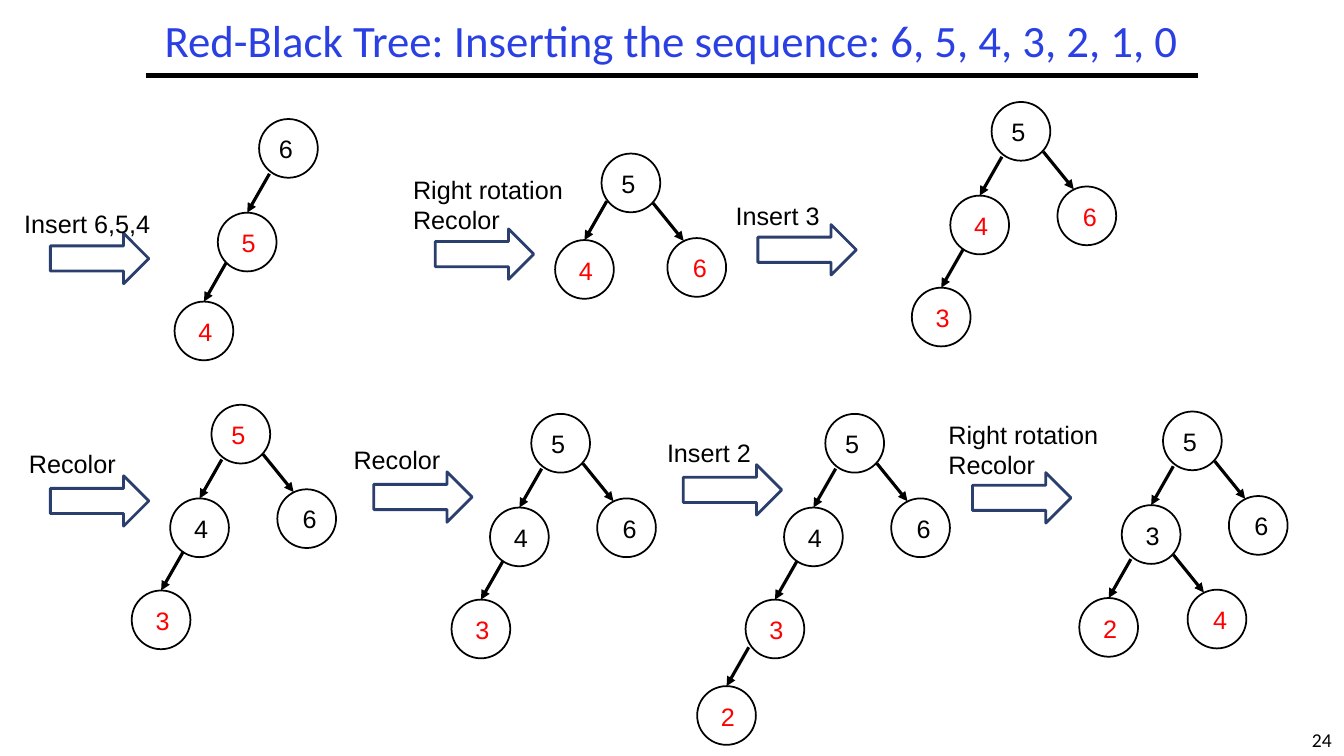
from dataclasses import dataclass
from typing import Optional

from lxml.etree import SubElement
from pptx import Presentation
from pptx.dml.color import RGBColor
from pptx.enum.shapes import MSO_CONNECTOR, MSO_SHAPE
from pptx.enum.text import MSO_ANCHOR, PP_ALIGN
from pptx.oxml.ns import qn
from pptx.util import Cm, Pt

COLORS = {
    "title": "2A40E2",
    "black": "000000",
    "red": "FF0000",
    "white": "FFFFFF",
    "arrow": "2B3F6F",
}
DIAMETER = 1.48
RIGHT_CHILD = (1.66, 2.13)
STEEP = (-1.04, 2.36)
LOWER = (-0.97, 2.32)
LABEL_OFFSETS = {"root": (0.25, 0.24), "left": (0.35, 0.25), "right": (0.39, 0.24)}


@dataclass
class Node:
    value: str
    color: str = "black"
    left: Optional["Node"] = None
    right: Optional["Node"] = None
    left_offset: tuple = STEEP


def rgb(name):
    return RGBColor.from_string(COLORS[name])


def add_text(slide, lines, x, y, width, height, size=18, font="Arial", color="black",
             align=PP_ALIGN.LEFT, wrap=True, anchor=MSO_ANCHOR.TOP, spacing=None):
    box = slide.shapes.add_textbox(Cm(x), Cm(y), Cm(width), Cm(height))
    frame = box.text_frame
    frame.word_wrap = wrap
    frame.vertical_anchor = anchor
    frame.text = "\n".join(lines)
    for paragraph in frame.paragraphs:
        paragraph.alignment = align
        paragraph.line_spacing = spacing
        paragraph.font.size = Pt(size)
        paragraph.font.name = font
        paragraph.font.color.rgb = rgb(color)


def add_outlined(slide, preset, x, y, width, height, color, weight):
    shape = slide.shapes.add_shape(preset, Cm(x), Cm(y), Cm(width), Cm(height))
    shape.shadow.inherit = False
    shape.fill.solid()
    shape.fill.fore_color.rgb = rgb("white")
    shape.line.color.rgb = rgb(color)
    shape.line.width = Pt(weight)
    return shape


def add_line(slide, start, end, weight, arrowhead=False):
    line = slide.shapes.add_connector(
        MSO_CONNECTOR.STRAIGHT, *(Cm(value) for value in (*start, *end)))
    line.line.color.rgb = rgb("black")
    line.line.width = Pt(weight)
    if arrowhead:
        SubElement(line.line._get_or_add_ln(), qn("a:tailEnd"), type="triangle")
    SubElement(line._element.spPr, qn("a:effectLst"))
    return line


def add_tree(slide, node, x, y, side="root"):
    circle = add_outlined(slide, MSO_SHAPE.OVAL, x, y, DIAMETER, DIAMETER, "black", 1.25)
    label_x, label_y = LABEL_OFFSETS[side]
    add_text(slide, [node.value], x + label_x, y + label_y, 0.86, 1.02,
             color=node.color, wrap=False)
    if node.left:
        child_x, child_y = x + node.left_offset[0], y + node.left_offset[1]
        child = add_tree(slide, node.left, child_x, child_y, "left")
        top = (child_x + DIAMETER / 2, child_y)
        edge = add_line(slide, (top[0] + 0.56, top[1] - 0.98), top, 2.25, True)
        edge.end_connect(child, 0)
    if node.right:
        add_tree(slide, node.right, x + RIGHT_CHILD[0], y + RIGHT_CHILD[1], "right")
        add_line(slide, (x + 1.3, y + 1.25), (x + 2.07, y + 2.2), 2.25, True)
    return circle


def add_step(slide, lines, label_position, label_width, arrow_position):
    add_outlined(slide, MSO_SHAPE.RIGHT_ARROW, *arrow_position, 2.48, 1.27, "arrow", 2)
    add_text(slide, lines, *label_position, label_width, 1.02 + 0.77 * (len(lines) - 1))


def main():
    presentation = Presentation()
    presentation.slide_width = Cm(33.87)
    presentation.slide_height = Cm(19.05)
    slide = presentation.slides.add_slide(presentation.slide_layouts[6])

    add_text(slide, ["24"], 32.77, 18.21, 1.09, 0.84, 14, "Calibri",
             align=PP_ALIGN.CENTER, wrap=False)
    add_line(slide, (3.67, 1.9), (30.2, 1.9), 3)
    add_text(slide, ["Red-Black Tree: Inserting the sequence: 6, 5, 4, 3, 2, 1, 0"],
             1.22, -0.33, 31.42, 2.82, 32, "Calibri", "title",
             PP_ALIGN.CENTER, anchor=MSO_ANCHOR.MIDDLE, spacing=0.9)

    rotation = ["Right rotation", "Recolor"]
    steps = [
        (["Insert 6,5,4"], (0.36, 5.13), 4.04, (1.27, 5.88)),
        (rotation, (10.16, 4.27), 4.32, (10.97, 5.77)),
        (["Insert 3"], (18.29, 4.93), 4.04, (19.1, 5.66)),
        (["Recolor"], (0.48, 11.18), 4.11, (1.27, 11.99)),
        (["Recolor"], (8.66, 11.07), 4.11, (9.42, 11.89)),
        (["Insert 2"], (16.56, 10.9), 2.67, (17.22, 11.71)),
        (rotation, (23.65, 10.44), 4.32, (24.51, 11.91)),
    ]
    for step in steps:
        add_step(slide, *step)

    red_three, red_two = Node("3", "red"), Node("2", "red")
    red_four, red_six = Node("4", "red"), Node("6", "red")
    black_six = Node("6")
    black_four = Node("4", left=red_three, left_offset=LOWER)
    chain = Node("5", "red", red_four, left_offset=(-1.09, 2.24))
    four_over_three = Node("4", "red", red_three, left_offset=LOWER)
    three_over_two = Node("3", "red", red_two, left_offset=(-1.22, 2.18))
    long_four = Node("4", left=three_over_two, left_offset=LOWER)
    balanced_three = Node("3", "black", red_two, red_four, (-1.07, 2.34))
    trees = [
        (Node("6", left=chain), 6.53, 3.0),
        (Node("5", "black", red_four, red_six, (-1.17, 2.18)), 15.16, 3.87),
        (Node("5", "black", four_over_three, red_six), 24.99, 2.57),
        (Node("5", "red", black_four, black_six), 5.33, 10.2),
        (Node("5", "black", black_four, black_six), 13.39, 10.43),
        (Node("5", "black", long_four, black_six), 20.8, 10.43),
        (Node("5", "black", balanced_three, black_six), 29.31, 10.37),
    ]
    for tree in trees:
        add_tree(slide, *tree)

    presentation.save("out.pptx")


if __name__ == "__main__":
    main()
